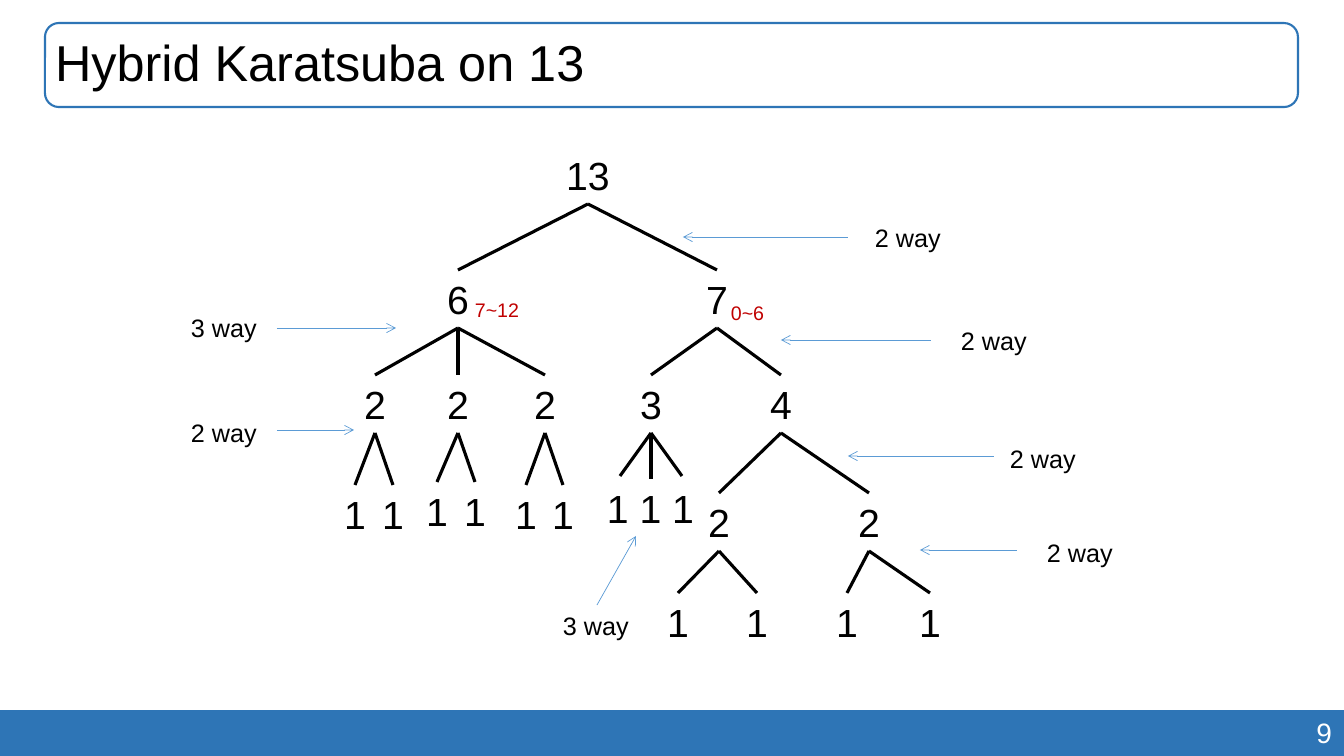
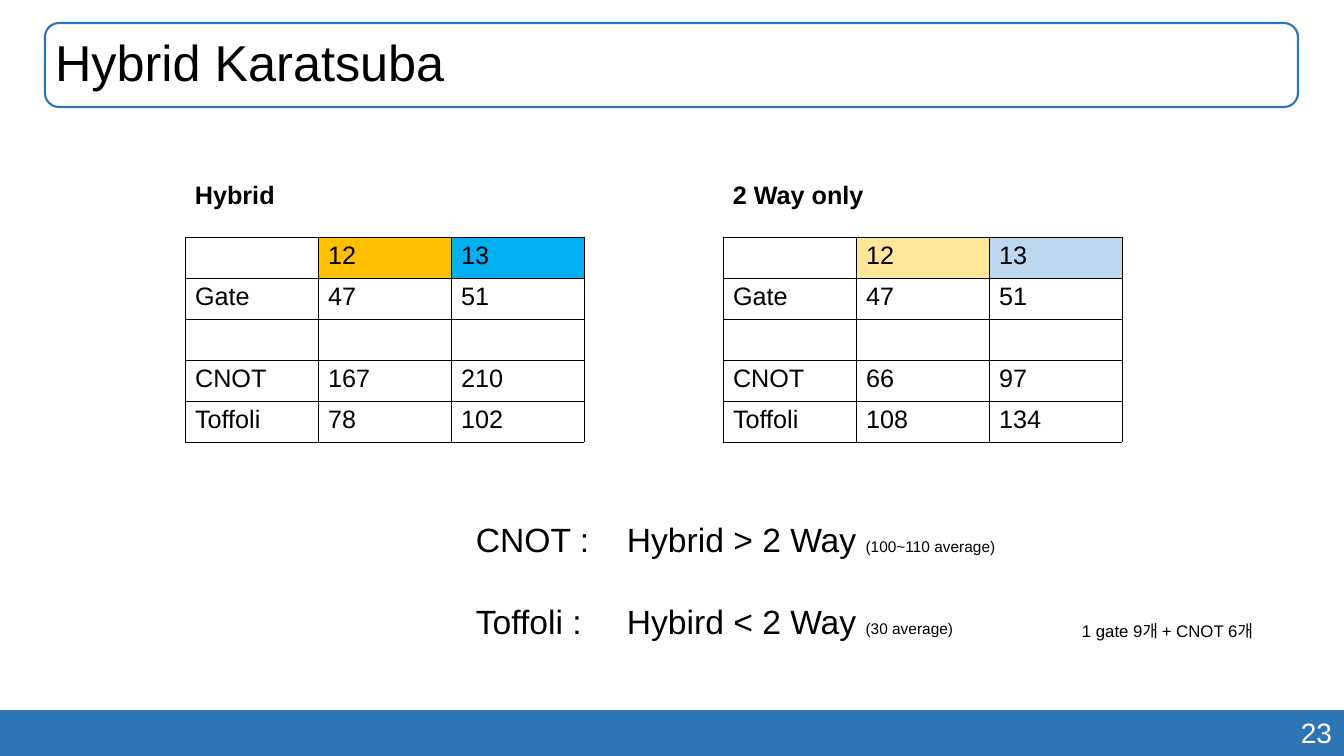
from lxml import etree
from pptx import Presentation
from pptx import util as u
from pptx.dml import color
from pptx.enum import shapes, text
from pptx.oxml import ns

PX = 914400 / 100.8
FONT = "Arial"
BLACK = color.RGBColor(0x00, 0x00, 0x00)
WHITE = color.RGBColor(0xFF, 0xFF, 0xFF)
BLUE = color.RGBColor(0x2E, 0x75, 0xB6)
ARROW_BLUE = color.RGBColor(0x5B, 0x9B, 0xD5)
RED = color.RGBColor(0xC0, 0x00, 0x00)
ORANGE = color.RGBColor(0xFF, 0xC0, 0x00)
CYAN = color.RGBColor(0x00, 0xB0, 0xF0)
PALE_ORANGE = color.RGBColor(0xFF, 0xE6, 0x99)
PALE_BLUE = color.RGBColor(0xBD, 0xD7, 0xEE)

TITLE_AREA = (45, 23, 1253, 84)
NODE_HEIGHT = 58
ROW_HEIGHT, COLUMN_WIDTH = 41, 133


def leaves(top, *centres):
    return [("1", x, top, []) for x in centres]


TREE = ("13", 588, 146, [
    ("6", 458, 270, [
        ("2", 375, 375, leaves(485, 355, 393)),
        ("2", 458, 375, leaves(482, 437, 475)),
        ("2", 545, 375, leaves(485, 526, 563)),
    ]),
    ("7", 717, 270, [
        ("3", 651, 375, [("", 620, 476, []), ("", 651, 479, []), ("", 682, 476, [])]),
        ("4", 781, 375, [
            ("2", 719, 493, leaves(593, 678, 757)),
            ("2", 869, 493, leaves(593, 847, 930)),
        ]),
    ]),
])

WAYS = [
    ("2 way", (865, 217), (848, 237), (683, 237)),
    ("2 way", (951, 320), (931, 340), (781, 340)),
    ("3 way", (181, 307), (277, 328), (396, 328)),
    ("2 way", (1000, 438), (994, 456), (848, 456)),
    ("2 way", (1037, 532), (1017, 550), (920, 550)),
    ("2 way", (181, 412), (277, 430), (354, 430)),
    ("3 way", (553, 605), (597, 605), (636, 536)),
]

TABLES = [
    ("Hybrid", 185, (ORANGE, CYAN),
     [("Gate", "47", "51"), ("", "", ""), ("CNOT", "167", "210"), ("Toffoli", "78", "102")]),
    ("2 Way only", 723, (PALE_ORANGE, PALE_BLUE),
     [("Gate", "47", "51"), ("", "", ""), ("CNOT", "66", "97"), ("Toffoli", "108", "134")]),
]


def px(*lengths):
    return [u.Emu(round(length * PX)) for length in lengths]


def add_span(para, words, size, ink=BLACK, bold=False):
    span = para.add_run()
    span.text = words
    span.font.name = FONT
    span.font.size = u.Pt(size)
    span.font.bold = bold
    span.font.color.rgb = ink


def add_label(page, words, area, size, ink=BLACK, bold=False, align=text.PP_ALIGN.LEFT, wrap=False):
    box = page.shapes.add_textbox(*px(*area))
    box.text_frame.word_wrap = wrap
    para = box.text_frame.paragraphs[0]
    para.alignment = align
    add_span(para, words, size, ink, bold)


def add_line(page, start, end, ink, width, arrow=False):
    line = page.shapes.add_connector(shapes.MSO_CONNECTOR.STRAIGHT, *px(*start, *end))
    line.line.color.rgb = ink
    line.line.width = u.Pt(width)
    properties = line.element.spPr
    if arrow:
        etree.SubElement(properties.find(ns.qn("a:ln")), ns.qn("a:tailEnd"), type="arrow")
    etree.SubElement(properties, ns.qn("a:effectLst"))


def add_node(page, node):
    label, x, top, children = node
    if label:
        width = 20 + 22 * len(label)
        add_label(page, label, (x - width // 2, top, width, NODE_HEIGHT), 28,
                  align=text.PP_ALIGN.CENTER)
    for child in children:
        add_line(page, (x, top + NODE_HEIGHT), child[1:3], BLACK, 2.25)
        add_node(page, child)


def set_borders(cell):
    properties = cell._tc.get_or_add_tcPr()
    for position, side in enumerate(("a:lnL", "a:lnR", "a:lnT", "a:lnB")):
        border = etree.Element(ns.qn(side), w=str(u.Pt(0.5)))
        fill = etree.SubElement(border, ns.qn("a:solidFill"))
        etree.SubElement(fill, ns.qn("a:srgbClr"), val=str(BLACK))
        properties.insert(position, border)


def add_gate_table(page, left, header_fills, rows):
    rows = [("", "12", "13"), *rows]
    count = len(rows[0])
    area = px(left, 237, COLUMN_WIDTH * count, ROW_HEIGHT * len(rows))
    table = page.shapes.add_table(len(rows), count, *area).table
    table.first_row = table.horz_banding = False
    for r, row in enumerate(rows):
        for c, words in enumerate(row):
            cell = table.cell(r, c)
            if r == 0 and c > 0:
                cell.fill.solid()
                cell.fill.fore_color.rgb = header_fills[c - 1]
            else:
                cell.fill.background()
            set_borders(cell)
            if words:
                add_span(cell.text_frame.paragraphs[0], words, 18)


def add_comparison(page, lines):
    frame = page.shapes.add_textbox(*px(466, 514, 555, 132)).text_frame
    frame.word_wrap = True
    for index, (gate, result, average) in enumerate(lines):
        para = frame.add_paragraph() if index else frame.paragraphs[0]
        tabs = etree.SubElement(para._p.get_or_add_pPr(), ns.qn("a:tabLst"))
        etree.SubElement(tabs, ns.qn("a:tab"), pos=str(px(151)[0]), algn="l")
        if index:
            para.space_before = u.Pt(30)
        add_span(para, f"{gate} :\t{result} ", 24)
        add_span(para, average, 11)


def place(shape, area):
    shape.left, shape.top, shape.width, shape.height = px(*area)


def prepare_layout(deck):
    layout = deck.slide_layouts.get_by_name("Title Only")
    place(layout.placeholders[0], TITLE_AREA)
    return layout


def decorate_layout(page):
    band = page.shapes.add_shape(shapes.MSO_SHAPE.RECTANGLE, *px(0, 710, 1344, 46))
    band.fill.solid()
    band.fill.fore_color.rgb = BLUE
    band.line.fill.background()
    outline = page.shapes.add_shape(shapes.MSO_SHAPE.ROUNDED_RECTANGLE, *px(*TITLE_AREA))
    outline.fill.background()
    outline.line.color.rgb = BLUE
    outline.line.width = u.Pt(1.5)
    for index, shape in enumerate((band, outline)):
        shape.shadow.inherit = False
        shape.element.nvSpPr.cNvPr.set("id", str(20 + index))
        page.slide_layout.shapes.element.insert(2 + index, shape.element)


def add_page(deck, layout, title, number):
    page = deck.slides.add_slide(layout)
    frame = page.shapes.title.text_frame
    frame.vertical_anchor = text.MSO_ANCHOR.MIDDLE
    frame.auto_size = text.MSO_AUTO_SIZE.NONE
    para = frame.paragraphs[0]
    para.alignment = text.PP_ALIGN.LEFT
    para.line_spacing = 0.9
    add_span(para, title, 36)
    add_label(page, number, (949, 711, 393, 44), 20, WHITE, align=text.PP_ALIGN.RIGHT, wrap=True)
    return page


def fill_tree_page(page):
    add_node(page, TREE)
    add_label(page, "1 1 1", (597, 479, 109, NODE_HEIGHT), 28)
    for words, corner, start, end in WAYS:
        add_label(page, words, (*corner, 90, 40), 18)
        add_line(page, start, end, ARROW_BLUE, 0.5, arrow=True)
    add_label(page, "0~6", (721, 296, 80, 34), 14, RED, wrap=True)
    add_label(page, "7~12", (465, 293, 90, 34), 14, RED, wrap=True)


def fill_table_page(page):
    for heading, left, header_fills, rows in TABLES:
        add_label(page, heading, (left, 174, 160, 40), 18, bold=True, wrap=True)
        add_gate_table(page, left, header_fills, rows)
    add_comparison(page, [
        ("CNOT", "Hybrid > 2 Way", "(100~110 average)"),
        ("Toffoli", "Hybird < 2 Way", "(30 average)"),
    ])
    add_label(page, "1 gate 9개 + CNOT 6개", (1072, 616, 197, 30), 12, wrap=True)


def main():
    deck = Presentation()
    deck.slide_width, deck.slide_height = px(1344, 756)
    layout = prepare_layout(deck)
    tree_page = add_page(deck, layout, "Hybrid Karatsuba on 13", "9")
    decorate_layout(tree_page)
    fill_tree_page(tree_page)
    fill_table_page(add_page(deck, layout, "Hybrid Karatsuba", "23"))
    deck.save("out.pptx")


if __name__ == "__main__":
    main()
